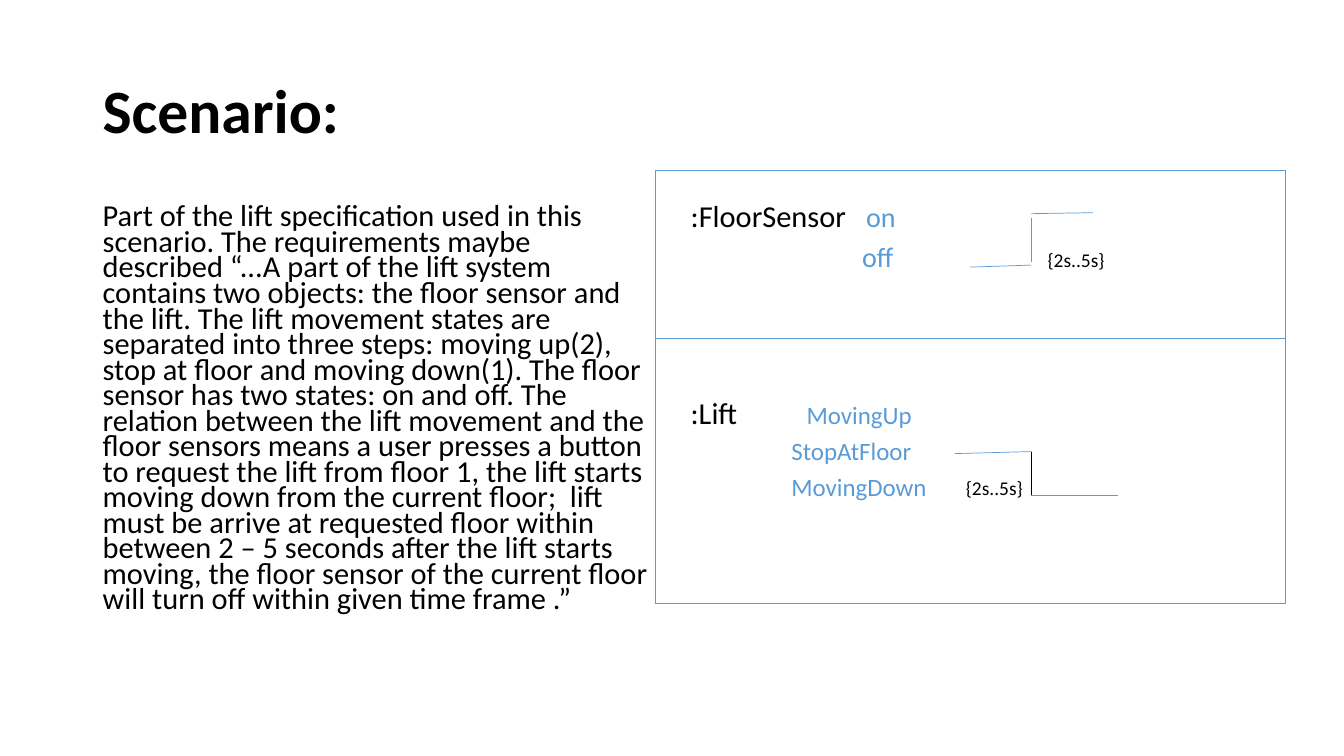
from pptx import Presentation
from pptx.util import Inches, Pt
from pptx.dml.color import RGBColor
from pptx.enum.shapes import MSO_CONNECTOR, MSO_SHAPE
from pptx.enum.text import MSO_ANCHOR
from lxml import etree

BLACK = RGBColor(0x00, 0x00, 0x00)
BLUE = RGBColor(0x5B, 0x9B, 0xD5)
FONT = "Calibri"
A_NS = "http://schemas.openxmlformats.org/drawingml/2006/main"

prs = Presentation()
prs.slide_width, prs.slide_height = Inches(13.33), Inches(7.5)
slide = prs.slides.add_slide(prs.slide_layouts[6])


def add_text(text, left, top, width, height, size, color=BLACK):
    box = slide.shapes.add_textbox(Inches(left), Inches(top), Inches(width), Inches(height))
    frame = box.text_frame
    frame.word_wrap = True
    frame.text = text
    font = frame.paragraphs[0].runs[0].font
    font.name, font.size, font.color.rgb = FONT, Pt(size), color
    return frame


def add_line(x1, y1, x2, y2, color=BLUE):
    line = slide.shapes.add_connector(
        MSO_CONNECTOR.STRAIGHT, Inches(x1), Inches(y1), Inches(x2), Inches(y2))
    line.line.color.rgb = color
    line.line.width = Pt(0.5)
    etree.SubElement(line._element.spPr, f"{{{A_NS}}}effectLst")


# Title
title = add_text("Scenario:", 0.92, 0.4, 11.5, 1.45, 44)
title.vertical_anchor = MSO_ANCHOR.MIDDLE
title.paragraphs[0].line_spacing = 0.9
title.paragraphs[0].runs[0].font.bold = True

# Lift specification
specification = add_text(
    "Part of the lift specification used in this scenario. The requirements maybe "
    "described “...A part of the lift system contains two objects: the floor sensor "
    "and the lift. The lift movement states are separated into three steps: moving "
    "up(2), stop at floor and moving down(1). The floor sensor has two states: on and "
    "off. The relation between the lift movement and the floor sensors means a user "
    "presses a button to request the lift from floor 1, the lift starts moving down "
    "from the current floor;  lift must be arrive at requested floor within between "
    "2 – 5 seconds after the lift starts moving, the floor sensor of the current floor "
    "will turn off within given time frame .”",
    0.92, 2, 5.67, 4.76, 21.7)
specification.paragraphs[0].line_spacing = 0.7
specification.paragraphs[0].space_before = Pt(10)

# Objects, states and time limits: text, left, baseline, width, size, colour
labels = [
    (":FloorSensor", 6.85, 2.24, 1.65, 21.7, BLACK),
    ("on", 8.59, 2.24, 0.5, 20.1, BLUE),
    ("off", 8.55, 2.64, 0.5, 20.1, BLUE),
    ("{2s..5s}", 10.39, 2.64, 0.8, 13.9, BLACK),
    (":Lift", 6.85, 4.2, 0.8, 21.7, BLACK),
    ("MovingUp", 8, 4.2, 1.4, 17.8, BLUE),
    ("StopAtFloor", 7.85, 4.56, 1.5, 17.8, BLUE),
    ("MovingDown", 7.85, 4.91, 1.6, 17.8, BLUE),
    ("{2s..5s}", 9.58, 4.91, 0.63, 13.9, BLACK),
]
for text, left, baseline, width, size, color in labels:
    em = size / 72
    label = add_text(text, left, baseline - 0.95 * em, width, 1.22 * em, size, color)
    label.word_wrap = False
    label.margin_left = label.margin_right = label.margin_top = label.margin_bottom = 0

# Lift timeline: stops at floor, then moves down
add_line(9.47, 4.5, 10.23, 4.48)
add_line(10.23, 4.48, 10.23, 4.91, BLACK)
add_line(10.23, 4.91, 11.09, 4.91)

# Floor sensor timeline: off, then on
add_line(9.62, 2.65, 10.23, 2.63)
add_line(10.23, 2.16, 10.23, 2.6)
add_line(10.23, 2.12, 10.84, 2.11)

# Diagram frame and divider
diagram = slide.shapes.add_shape(
    MSO_SHAPE.RECTANGLE, Inches(6.5), Inches(1.69), Inches(6.25), Inches(4.3))
diagram.shadow.inherit = False
diagram.fill.background()
diagram.line.color.rgb = BLUE
diagram.line.width = Pt(1)
add_line(6.5, 3.36, 12.75, 3.36)

prs.save("out.pptx")
